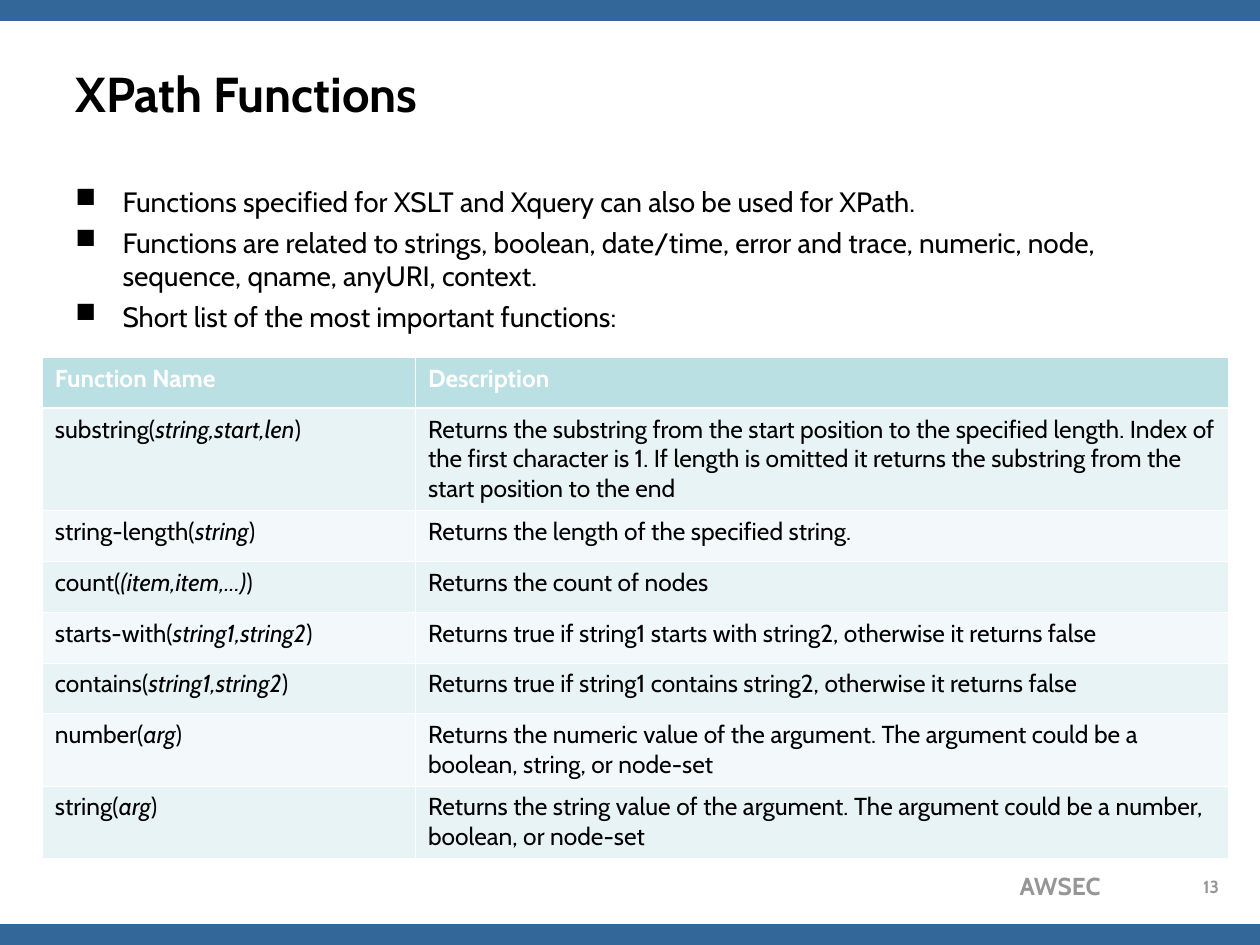
from lxml import etree
from pptx import Presentation
from pptx.dml.color import RGBColor
from pptx.enum import shapes, text
from pptx.oxml import ns
from pptx.util import Pt

BLUE = RGBColor(0x33, 0x66, 0x99)
BLACK = RGBColor(0, 0, 0)
WHITE = RGBColor(0xFF, 0xFF, 0xFF)
GREY = RGBColor(0x96, 0x96, 0x96)
HEAD = RGBColor(0xBB, 0xE0, 0xE3)
BANDS = [RGBColor(0xF3, 0xF9, 0xFA), RGBColor(0xE7, 0xF3, 0xF4)]

WIDE, HIGH = 720, 540
BAR = 12
THIN, THICK = 0.45, 1.47

POINTS = [
    "Functions specified for XSLT and Xquery can also be used for XPath.",
    "Functions are related to strings, boolean, date/time, error and trace, "
    "numeric, node, sequence, qname, anyURI, context.",
    "Short list of the most important functions:",
]
# Row height, function name, arguments, description
ROWS = [
    (58.6, "substring", "string,start,len",
     "Returns the substring from the start position to the specified length. "
     "Index of the first character is 1. If length is omitted it returns the "
     "substring from the start position to the end"),
    (29, "string-length", "string",
     "Returns the length of the specified string."),
    (29, "count", "(item,item,...)", "Returns the count of nodes"),
    (29, "starts-with", "string1,string2",
     "Returns true if string1 starts with string2, otherwise it returns false"),
    (29, "contains", "string1,string2",
     "Returns true if string1 contains string2, otherwise it returns false"),
    (41.3, "number", "arg",
     "Returns the numeric value of the argument. The argument could be a "
     "boolean, string, or node-set"),
    (41.3, "string", "arg",
     "Returns the string value of the argument. The argument could be a "
     "number, boolean, or node-set"),
]


def add_run(para, words, size, color, **style):
    run = para.add_run()
    run.text = words
    run.font.color.rgb = color
    for key, value in {"name": "Cabin", "size": Pt(size), **style}.items():
        setattr(run.font, key, value)


def add_box(slide, box, anchor=text.MSO_ANCHOR.TOP):
    frame = slide.shapes.add_textbox(*map(Pt, box)).text_frame
    frame.word_wrap = True
    frame.vertical_anchor = anchor
    return frame


def add_label(slide, box, words, size, color, align, anchor=text.MSO_ANCHOR.TOP):
    para = add_box(slide, box, anchor).paragraphs[0]
    para.alignment = align
    add_run(para, words, size, color, bold=True)


def add_bar(slide, box):
    bar = slide.shapes.add_shape(shapes.MSO_SHAPE.RECTANGLE, *map(Pt, box))
    bar.shadow.inherit = False
    bar.fill.solid()
    bar.fill.fore_color.rgb = BLUE
    bar.line.fill.background()


def add_points(slide, box):
    frame = add_box(slide, box)
    for i, words in enumerate(POINTS):
        para = frame.add_paragraph() if i else frame.paragraphs[0]
        props = para._p.get_or_add_pPr()
        props.set("marL", str(Pt(27)))
        props.set("indent", str(Pt(-27)))
        if i:
            para.space_before = Pt(4)
        etree.SubElement(props, ns.qn("a:buChar")).set("char", "■")
        add_run(para, words, 16, BLACK)


def set_cell(cell, fill, top, bottom):
    """Draw white borders, then fill the cell; the schema needs this order."""
    props = cell._tc.get_or_add_tcPr()
    for side, width in zip("LRTB", (THIN, THIN, top, bottom)):
        line = etree.SubElement(props, ns.qn("a:ln" + side), w=str(Pt(width)))
        solid = etree.SubElement(line, ns.qn("a:solidFill"))
        etree.SubElement(solid, ns.qn("a:srgbClr"), val=str(WHITE))
    cell.fill.solid()
    cell.fill.fore_color.rgb = fill


def add_grid(slide, box, cols, head):
    table = slide.shapes.add_table(len(ROWS) + 1, len(cols), *map(Pt, box)).table
    for col, width in zip(table.columns, cols):
        col.width = Pt(width)
    table.rows[0].height = Pt(head)
    for cell, words in zip(table.rows[0].cells, ("Function Name", "Description")):
        set_cell(cell, HEAD, THIN, THICK)
        add_run(cell.text_frame.paragraphs[0], words, 14, WHITE, bold=True)
    for i, (height, name, args, about) in enumerate(ROWS, 1):
        row = table.rows[i]
        row.height = Pt(height)
        call = [(name + "(", False), (args, True), (")", False)]
        for cell, runs in zip(row.cells, (call, [(about, False)])):
            set_cell(cell, BANDS[i % 2], THICK if i == 1 else THIN, THIN)
            for words, italic in runs:
                add_run(cell.text_frame.paragraphs[0], words, 14, BLACK,
                        bold=False, italic=italic)


def add_footer(slide, box):
    left, top, width, height = box
    add_label(slide, (left, top, 188, height), "AWSEC", 14, GREY,
              text.PP_ALIGN.RIGHT)
    add_label(slide, (left + width - 32, top + 3, 32, 18), "13", 10, GREY,
              text.PP_ALIGN.CENTER)


def main():
    deck = Presentation()
    deck.slide_width, deck.slide_height = Pt(WIDE), Pt(HIGH)
    slide = deck.slides.add_slide(deck.slide_layouts[6])
    for top in (0, HIGH - BAR):
        add_bar(slide, (0, top, WIDE, BAR))
    add_label(slide, (36, 21.6, 648, 63), "XPath Functions", 28, BLACK,
              text.PP_ALIGN.LEFT, text.MSO_ANCHOR.MIDDLE)
    add_points(slide, (36, 102, 648, 380))
    add_grid(slide, (24.2, 204.2, 677.6, 286), (213.2, 464.4), 29)
    add_footer(slide, (448, 494, 260, 24))
    deck.save("out.pptx")


if __name__ == "__main__":
    main()
